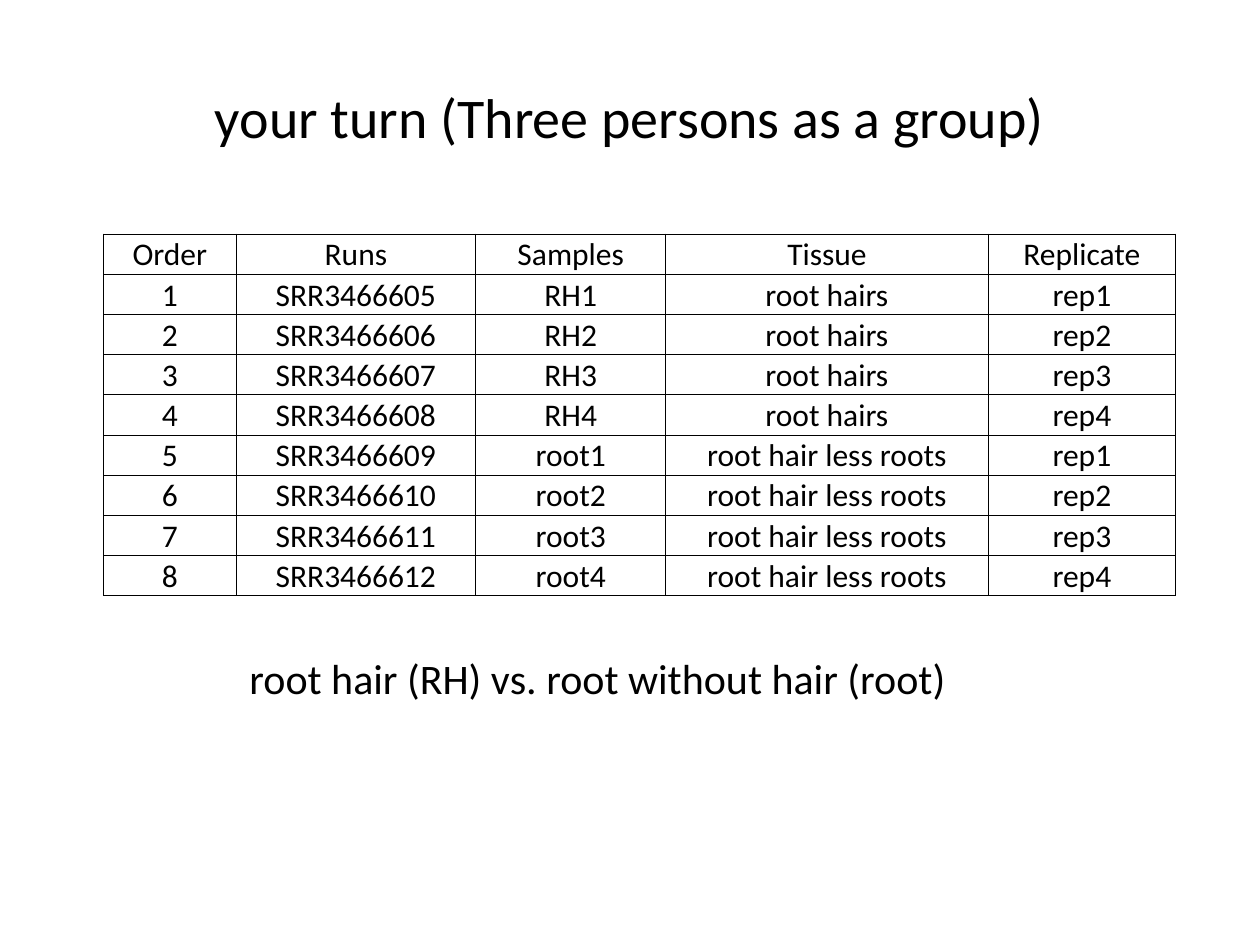
from pptx import Presentation
from pptx.dml.color import RGBColor as Rgb
from pptx.enum.text import MSO_ANCHOR as Anchor, PP_ALIGN as Align, MSO_AUTO_SIZE as Fit
from pptx.oxml import parse_xml
from pptx.oxml.ns import nsdecls
from pptx.util import Cm, Pt

HUES = {"ink": "000000", "page": "FFFFFF"}


class Deck:
    font = "Calibri"
    edge = Pt(0.5)

    def __init__(self, wide, high):
        self.prs = Presentation()
        self.prs.slide_width, self.prs.slide_height = Cm(wide), Cm(high)
        self.slide = self.prs.slides.add_slide(self.prs.slide_layouts[5])
        fill = self.slide.background.fill
        fill.solid()
        fill.fore_color.rgb = Rgb.from_string(HUES["page"])

    def text(self, frame, words, size, align):
        para = frame.paragraphs[0]
        para.alignment = align
        run = para.add_run()
        run.text = words
        run.font.name = self.font
        run.font.size = Pt(size)
        run.font.color.rgb = Rgb.from_string(HUES["ink"])

    def title(self, words, box, size):
        head = self.slide.shapes.title
        head.left, head.top, head.width, head.height = map(Cm, box)
        head.text_frame.vertical_anchor = Anchor.MIDDLE
        self.text(head.text_frame, words, size, Align.CENTER)

    def label(self, words, box, size):
        frame = self.slide.shapes.add_textbox(*map(Cm, box)).text_frame
        frame.word_wrap = False
        frame.auto_size = Fit.SHAPE_TO_FIT_TEXT
        self.text(frame, words, size, Align.LEFT)

    def border(self, cell):
        props = cell._tc.get_or_add_tcPr()
        for side in "LRTB":
            props.append(parse_xml(
                f'<a:ln{side} {nsdecls("a")} w="{self.edge}"><a:solidFill>'
                f'<a:srgbClr val="{HUES["ink"]}"/></a:solidFill></a:ln{side}>'))

    def table(self, rows, left, top, widths, high, size):
        grid = self.slide.shapes.add_table(
            len(rows), len(widths), Cm(left), Cm(top),
            Cm(sum(widths)), Cm(high * len(rows))).table
        grid.first_row = grid.horz_banding = False
        for col, wide in zip(grid.columns, widths):
            col.width = Cm(wide)
        for line, row in zip(grid.rows, rows):
            line.height = Cm(high)
            for cell, words in zip(line.cells, row):
                cell.margin_left = cell.margin_right = cell.margin_top = Cm(0.03)
                cell.margin_bottom = 0
                cell.vertical_anchor = Anchor.BOTTOM
                self.border(cell)
                cell.fill.background()
                self.text(cell.text_frame, words, size, Align.CENTER)


deck = Deck(25.4, 19.05)
deck.title("your turn (Three persons as a group)", (1.27, 0.76, 22.86, 3.18), 32)

rows = [("Order", "Runs", "Samples", "Tissue", "Replicate")]
groups = [("RH", "root hairs"), ("root", "root hair less roots")]
for part, (name, tissue) in enumerate(groups):
    for rep in range(1, 5):
        order = 4 * part + rep
        rows.append((str(order), f"SRR{3466604 + order}",
                     f"{name}{rep}", tissue, f"rep{rep}"))
deck.table(rows, 2.09, 4.72, (2.67, 4.83, 3.83, 6.5, 3.78), 0.81, 18)

deck.label("root hair (RH) vs. root without hair (root)",
           (4.78, 13.03, 14.73, 1.28), 24)
deck.prs.save("out.pptx")
